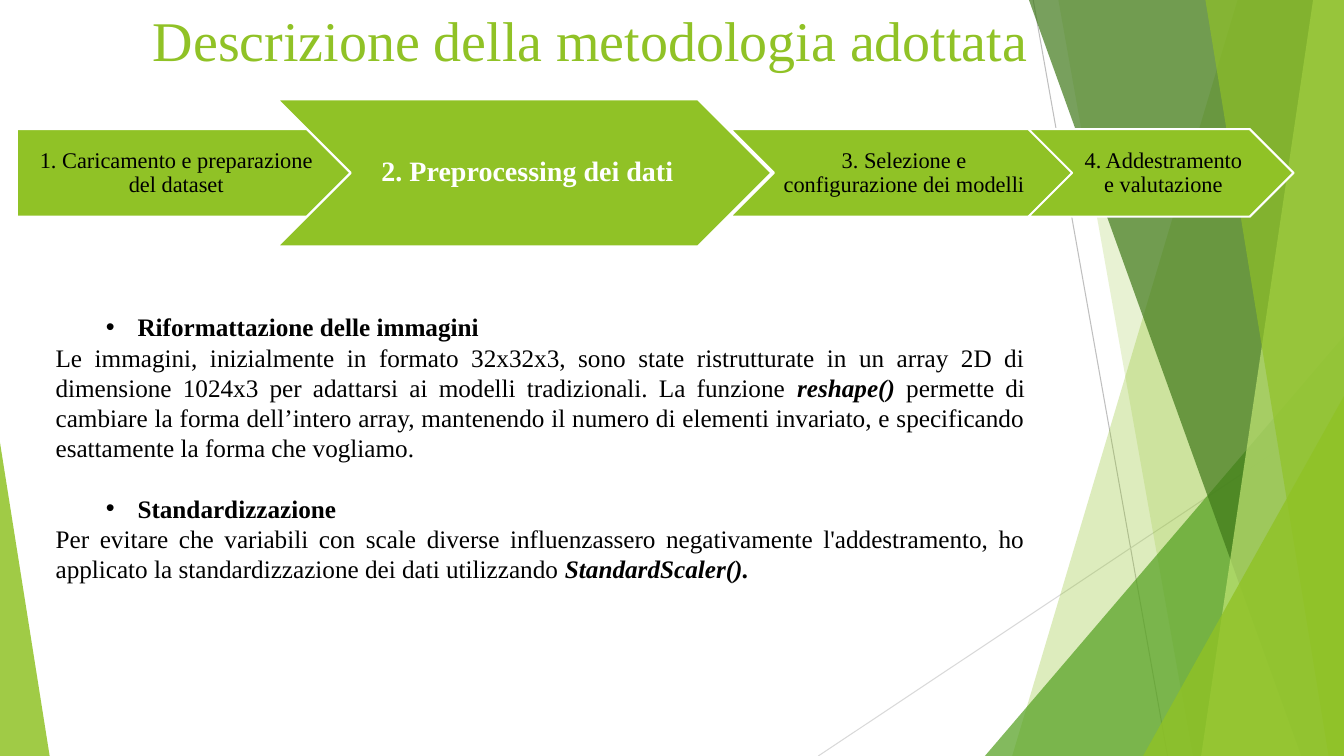
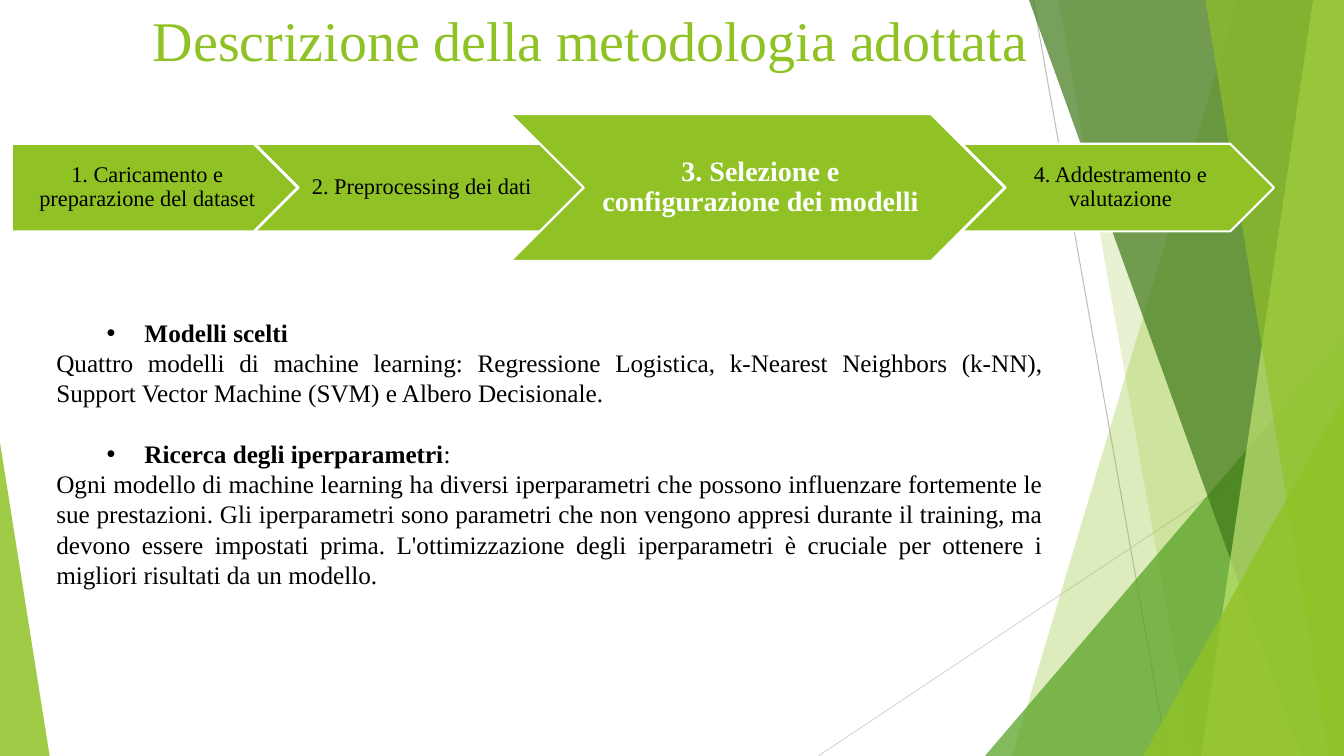
from lxml import etree
from pptx import Presentation
from pptx.dml.color import RGBColor
from pptx.enum.shapes import MSO_CONNECTOR, MSO_SHAPE
from pptx.enum.text import MSO_ANCHOR, MSO_AUTO_SIZE, PP_ALIGN
from pptx.oxml.ns import qn
from pptx.util import Pt

STRAIGHT = MSO_CONNECTOR.STRAIGHT
TRIANGLE = MSO_SHAPE.ISOSCELES_TRIANGLE
PENTAGON, CHEVRON = MSO_SHAPE.PENTAGON, MSO_SHAPE.CHEVRON
TOP, MIDDLE = MSO_ANCHOR.TOP, MSO_ANCHOR.MIDDLE
LEFT, CENTER, JUSTIFY = PP_ALIGN.LEFT, PP_ALIGN.CENTER, PP_ALIGN.JUSTIFY
NO_AUTOFIT = MSO_AUTO_SIZE.NONE

WIDTH, HEIGHT = 960, 540
FONT = "Times New Roman"
GREEN, MID_GREEN, DARK_GREEN, PALE_GREEN = "90C226", "54A021", "3F7819", "C0E474"
BLACK, WHITE = "000000", "FFFFFF"

TITLE = "Descrizione della metodologia adottata"
STEPS = [
    "1. Caricamento e preparazione del dataset",
    "2. Preprocessing dei dati",
    "3. Selezione e configurazione dei modelli",
    "4. Addestramento e valutazione",
]


def color(hex_text):
    return RGBColor.from_string(hex_text)


class Deck:
    """Shared style and the slide being built."""

    def __init__(self):
        self.prs = Presentation()
        self.prs.slide_width, self.prs.slide_height = Pt(WIDTH), Pt(HEIGHT)
        self.layout = self.prs.slide_layouts[1]
        self.slide = None
        self.decorated = 0

    def new_slide(self, title):
        self.slide = self.prs.slides.add_slide(self.layout)
        if not self.decorated:
            self.backdrop()
        heading = self.place(self.slide.shapes.title, 102, 0, 756, 103)
        heading.paragraphs[0].alignment = JUSTIFY
        self.run(heading.paragraphs[0], title, 40, GREEN)

    def place(self, holder, left, top, width, height):
        holder.left, holder.top = Pt(left), Pt(top)
        holder.width, holder.height = Pt(width), Pt(height)
        frame = holder.text_frame
        frame.word_wrap = True
        frame.auto_size = NO_AUTOFIT
        frame.vertical_anchor = TOP
        return frame

    def run(self, paragraph, text, size, hex_text, bold=False, italic=False):
        run = paragraph.add_run()
        run.text = text
        font = run.font
        font.name, font.size = FONT, Pt(size)
        font.bold, font.italic = bold, italic
        font.color.rgb = color(hex_text)

    # Backdrop elements, kept on the layout
    def to_layout(self, shape):
        self.decorated += 1
        element = shape.element
        element.xpath(".//p:cNvPr")[0].set("id", str(100 + self.decorated))
        self.layout.shapes.element.insert(1 + self.decorated, element)

    def thin_line(self, x1, y1, x2, y2, hex_text):
        line = self.slide.shapes.add_connector(STRAIGHT, Pt(x1), Pt(y1), Pt(x2), Pt(y2))
        line.line.color.rgb = color(hex_text)
        line.line.width = Pt(0.75)
        etree.SubElement(line.element.spPr, qn("a:effectLst"))
        self.to_layout(line)

    def glass(self, shape, hex_text, opacity):
        shape.shadow.inherit = False
        shape.fill.solid()
        shape.fill.fore_color.rgb = color(hex_text)
        tint = shape.element.spPr.find(".//" + qn("a:srgbClr"))
        etree.SubElement(tint, qn("a:alpha"), val=str(opacity * 1000))
        shape.line.fill.background()
        self.to_layout(shape)

    def band(self, top_x, bottom_x, hex_text, opacity):
        """Full-height band from a slanted left edge to the right slide edge."""
        outline = self.slide.shapes.build_freeform(Pt(top_x), 0)
        corners = [(WIDTH, 0), (WIDTH, HEIGHT), (bottom_x, HEIGHT)]
        outline.add_line_segments([(Pt(x), Pt(y)) for x, y in corners])
        self.glass(outline.convert_to_shape(), hex_text, opacity)

    def wedge(self, left, top, width, apex, hex_text, opacity):
        """Triangle standing on the bottom slide edge."""
        wedge = self.slide.shapes.add_shape(
            TRIANGLE, Pt(left), Pt(top), Pt(width), Pt(HEIGHT - top))
        wedge.adjustments[0] = apex
        self.glass(wedge, hex_text, opacity)

    def backdrop(self):
        self.thin_line(738, 0, 834, HEIGHT, "BFBFBF")
        self.thin_line(WIDTH, 290, 584.5, HEIGHT, "D9D9D9")
        self.band(884, 723, GREEN, 30)
        self.band(756, 852, GREEN, 20)
        self.wedge(703.5, 240, 256.5, 1, MID_GREEN, 72)
        self.band(735, 929.5, DARK_GREEN, 70)
        self.band(938, 858, PALE_GREEN, 70)
        self.band(861, 949, GREEN, 65)
        self.wedge(816.5, 283, 143.5, 1, GREEN, 80)
        self.wedge(0, 316, 35.5, 0, GREEN, 85)

    # Process arrows, with the current step enlarged
    def process(self, spans, center_y, current):
        for number, (step, (left, width)) in enumerate(zip(STEPS, spans), 1):
            active = number == current
            height = 105 if active else 62.6
            arrow = self.slide.shapes.add_shape(
                PENTAGON if number == 1 else CHEVRON,
                Pt(left), Pt(center_y - height / 2), Pt(width), Pt(height))
            arrow.shadow.inherit = False
            arrow.fill.solid()
            arrow.fill.fore_color.rgb = color(GREEN)
            arrow.line.color.rgb = color(WHITE)
            arrow.line.width = Pt(1.5)
            frame = arrow.text_frame
            frame.word_wrap = True
            frame.vertical_anchor = MIDDLE
            frame.margin_left = Pt(6.5 if active or number == 1 else 5)
            frame.margin_right = Pt(2 if active else 1.5)
            frame.margin_top = frame.margin_bottom = Pt(4 if active else 3.5)
            label = frame.paragraphs[0]
            label.alignment = CENTER
            label.line_spacing = 0.9
            self.run(label, step, 20 if active else 16,
                     WHITE if active else BLACK, bold=active)

    # Bulleted headings, each followed by justified text
    def sections(self, box, hanging, topics):
        frame = self.place(self.slide.placeholders[1], *box)
        for index, (heading, body) in enumerate(topics):
            first = frame.paragraphs[0] if index == 0 else frame.add_paragraph()
            self.paragraph(first, heading, LEFT, 21.6 if index else 0, hanging)
            self.paragraph(frame.add_paragraph(), body, JUSTIFY)

    def paragraph(self, paragraph, runs, alignment, before=0, hanging=0):
        paragraph.alignment = alignment
        paragraph.space_before, paragraph.space_after = Pt(before), Pt(0)
        props = paragraph._p.get_or_add_pPr()
        props.set("marL", str(Pt(36 + hanging) if hanging else 0))
        props.set("indent", str(-Pt(hanging)))
        if hanging:
            etree.SubElement(props, qn("a:buFont"), typeface="Arial")
            etree.SubElement(props, qn("a:buChar"), char="•")
        else:
            etree.SubElement(props, qn("a:buNone"))
        for text, bold, italic in runs:
            self.run(paragraph, text, 18, BLACK, bold, italic)


def plain(text):
    return text, False, False


def strong(text):
    return text, True, False


def code(text):
    return text, True, True


def main():
    deck = Deck()

    # Preprocessing
    deck.new_slide(TITLE)
    deck.process([(12, 238.5), (198, 353), (521.5, 245), (734.5, 189.5)], 123.5, current=2)
    deck.sections((32.5, 219, 707, 204), 22.5, [
        ([strong("Riformattazione delle immagini")],
         [plain("Le immagini, inizialmente in formato 32x32x3, sono state ristrutturate "
                "in un array 2D di dimensione 1024x3 per adattarsi ai modelli "
                "tradizionali. La funzione "),
          code("reshape()"),
          plain(" permette di cambiare la forma dell’intero array, mantenendo il numero "
                "di elementi invariato, e specificando esattamente la forma che "
                "vogliamo.")]),
        ([strong("Standardizzazione")],
         [plain("Per evitare che variabili con scale diverse influenzassero "
                "negativamente l'addestramento, ho applicato la standardizzazione dei "
                "dati utilizzando "),
          code("StandardScaler().")]),
    ])

    # Model selection
    deck.new_slide(TITLE)
    deck.process([(8.5, 204), (182, 235), (364.5, 353), (687, 223)], 134, current=3)
    deck.sections((33, 223, 719.5, 220), 27, [
        ([strong("Modelli scelti")],
         [plain("Quattro modelli di machine learning: Regressione Logistica, k-Nearest "
                "Neighbors (k-NN), Support Vector Machine (SVM) e Albero "
                "Decisionale.")]),
        ([strong("Ricerca degli iperparametri"), plain(":")],
         [plain("Ogni modello di machine learning ha diversi iperparametri che possono "
                "influenzare fortemente le sue prestazioni. Gli iperparametri sono "
                "parametri che non vengono appresi durante il training, ma devono essere "
                "impostati prima. L'ottimizzazione degli iperparametri è cruciale per "
                "ottenere i migliori risultati da un modello.")]),
    ])

    deck.prs.save("out.pptx")


if __name__ == "__main__":
    main()
